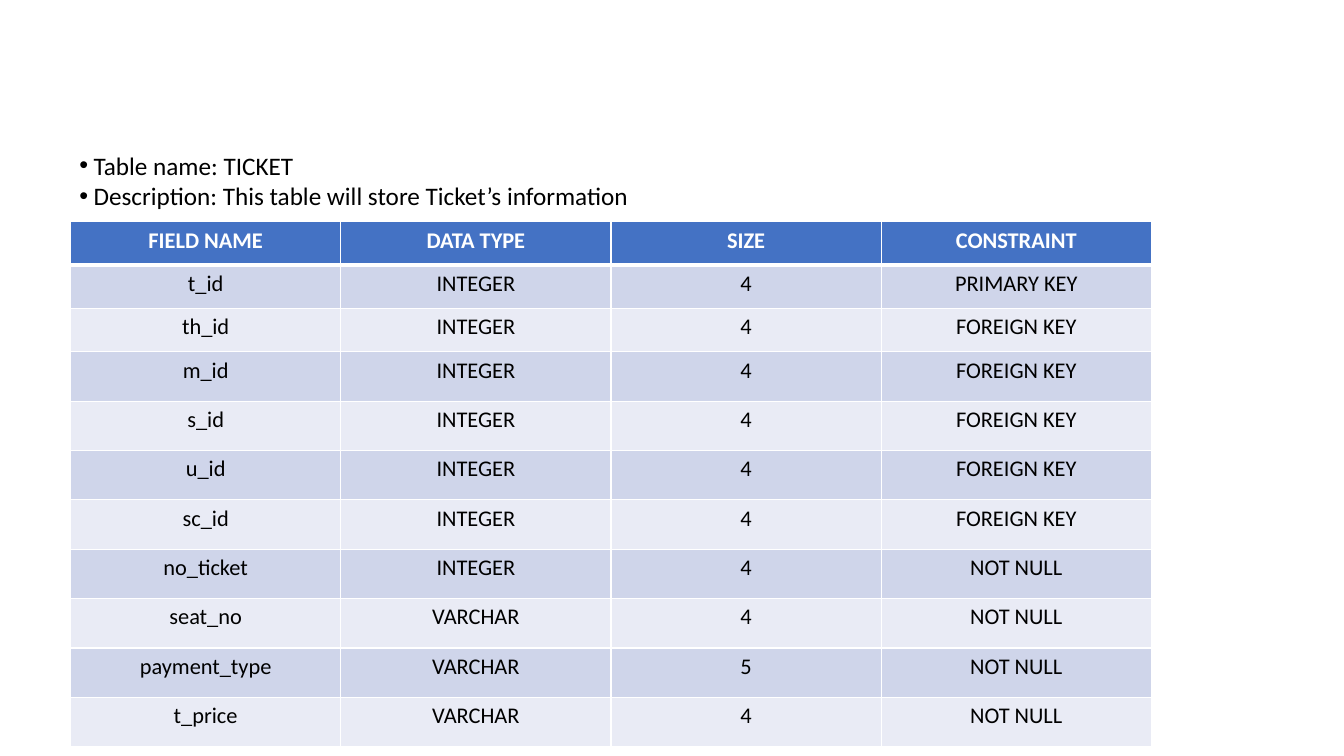
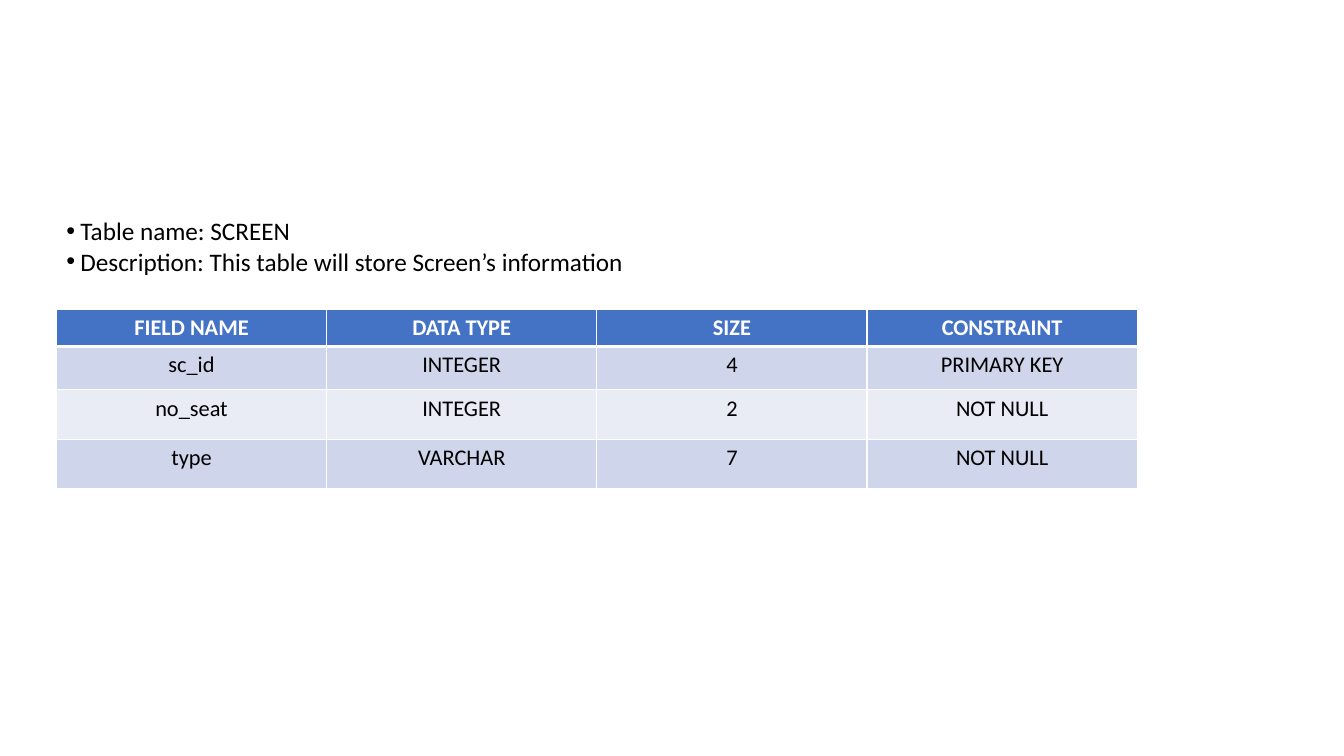
from dataclasses import dataclass

from lxml import etree
from pptx import Presentation
from pptx.dml.color import RGBColor
from pptx.enum.text import MSO_AUTO_SIZE, PP_ALIGN
from pptx.oxml.ns import qn
from pptx.util import Inches, Pt

CENTER = PP_ALIGN.CENTER
FIT_SHAPE = MSO_AUTO_SIZE.SHAPE_TO_FIT_TEXT


@dataclass(frozen=True)
class Theme:
    font: str = "Calibri"
    caption_size: int = 18
    cell_size: int = 16
    text: str = "000000"
    white: str = "FFFFFF"
    header: str = "4472C4"
    bands: tuple = ("CFD5EA", "E9EBF5")
    border: int = 1
    header_border: int = 3
    bullet_indent: float = 0.14


THEME = Theme()
HEADINGS = ("FIELD NAME", "DATA TYPE", "SIZE", "CONSTRAINT")
COLUMN_WIDTH = 2.68
CAPTION_SIZE = (5.97, 0.71)

TICKET_FIELDS = [
    ("t_id", "INTEGER", "4", "PRIMARY KEY"),
    ("th_id", "INTEGER", "4", "FOREIGN KEY"),
    ("m_id", "INTEGER", "4", "FOREIGN KEY"),
    ("s_id", "INTEGER", "4", "FOREIGN KEY"),
    ("u_id", "INTEGER", "4", "FOREIGN KEY"),
    ("sc_id", "INTEGER", "4", "FOREIGN KEY"),
    ("no_ticket", "INTEGER", "4", "NOT NULL"),
    ("seat_no", "VARCHAR", "4", "NOT NULL"),
    ("payment_type", "VARCHAR", "5", "NOT NULL"),
    ("t_price", "VARCHAR", "4", "NOT NULL"),
]
SCREEN_FIELDS = [
    ("sc_id", "INTEGER", "4", "PRIMARY KEY"),
    ("no_seat", "INTEGER", "2", "NOT NULL"),
    ("type", "VARCHAR", "7", "NOT NULL"),
]


def add_run(paragraph, text, size, color, bold=False):
    run = paragraph.add_run()
    run.text = text
    run.font.name = THEME.font
    run.font.size = Pt(size)
    run.font.bold = bold
    run.font.color.rgb = RGBColor.from_string(color)


def add_bullet(paragraph):
    properties = paragraph._p.get_or_add_pPr()
    indent = Inches(THEME.bullet_indent)
    properties.set("marL", str(indent))
    properties.set("indent", str(-indent))
    etree.SubElement(properties, qn("a:buFont"), typeface="Arial")
    etree.SubElement(properties, qn("a:buChar"), char="•")


def add_caption(slide, left, top, lines):
    width, height = CAPTION_SIZE
    caption = slide.shapes.add_textbox(
        Inches(left), Inches(top), Inches(width), Inches(height))
    frame = caption.text_frame
    frame.word_wrap = True
    frame.auto_size = FIT_SHAPE
    for index, line in enumerate(lines):
        paragraph = frame.add_paragraph() if index else frame.paragraphs[0]
        add_bullet(paragraph)
        add_run(paragraph, line, THEME.caption_size, THEME.text)


def set_borders(cell, top, bottom):
    properties = cell._tc.get_or_add_tcPr()
    widths = {"lnL": THEME.border, "lnR": THEME.border, "lnT": top, "lnB": bottom}
    for side, width in widths.items():
        line = etree.SubElement(properties, qn(f"a:{side}"), w=str(Pt(width)))
        fill = etree.SubElement(line, qn("a:solidFill"))
        etree.SubElement(fill, qn("a:srgbClr"), val=THEME.white)


def style_cell(cell, text, row):
    is_header = row == 0
    set_borders(
        cell,
        THEME.header_border if row == 1 else THEME.border,
        THEME.header_border if is_header else THEME.border)
    fill = THEME.header if is_header else THEME.bands[(row - 1) % 2]
    cell.fill.solid()
    cell.fill.fore_color.rgb = RGBColor.from_string(fill)
    paragraph = cell.text_frame.paragraphs[0]
    paragraph.alignment = CENTER
    color = THEME.white if is_header else THEME.text
    add_run(paragraph, text, THEME.cell_size, color, is_header)


def add_field_table(slide, left, top, fields, row_heights):
    rows = [HEADINGS, *fields]
    table = slide.shapes.add_table(
        len(rows), len(HEADINGS), Inches(left), Inches(top),
        Inches(COLUMN_WIDTH * len(HEADINGS)), Inches(sum(row_heights))).table
    for column in table.columns:
        column.width = Inches(COLUMN_WIDTH)
    for row, (texts, height) in enumerate(zip(rows, row_heights)):
        table.rows[row].height = Inches(height)
        for column, text in enumerate(texts):
            style_cell(table.cell(row, column), text, row)


def add_schema_slide(presentation, name, caption_at, table_at, fields, row_heights):
    slide = presentation.slides.add_slide(presentation.slide_layouts[6])
    add_field_table(slide, *table_at, fields, row_heights)
    add_caption(slide, *caption_at, [
        f"Table name: {name.upper()}",
        f"Description: This table will store {name}’s information",
    ])


def main():
    presentation = Presentation()
    presentation.slide_width = Inches(13.33)
    presentation.slide_height = Inches(7.5)
    add_schema_slide(
        presentation, "Ticket", (0.69, 1.44), (0.7, 2.2),
        TICKET_FIELDS, [0.43] * 3 + [0.49] * 8)
    add_schema_slide(
        presentation, "Screen", (0.56, 2.09), (0.56, 3.07),
        SCREEN_FIELDS, [0.36, 0.43, 0.49, 0.49])
    presentation.save("out.pptx")


if __name__ == "__main__":
    main()
